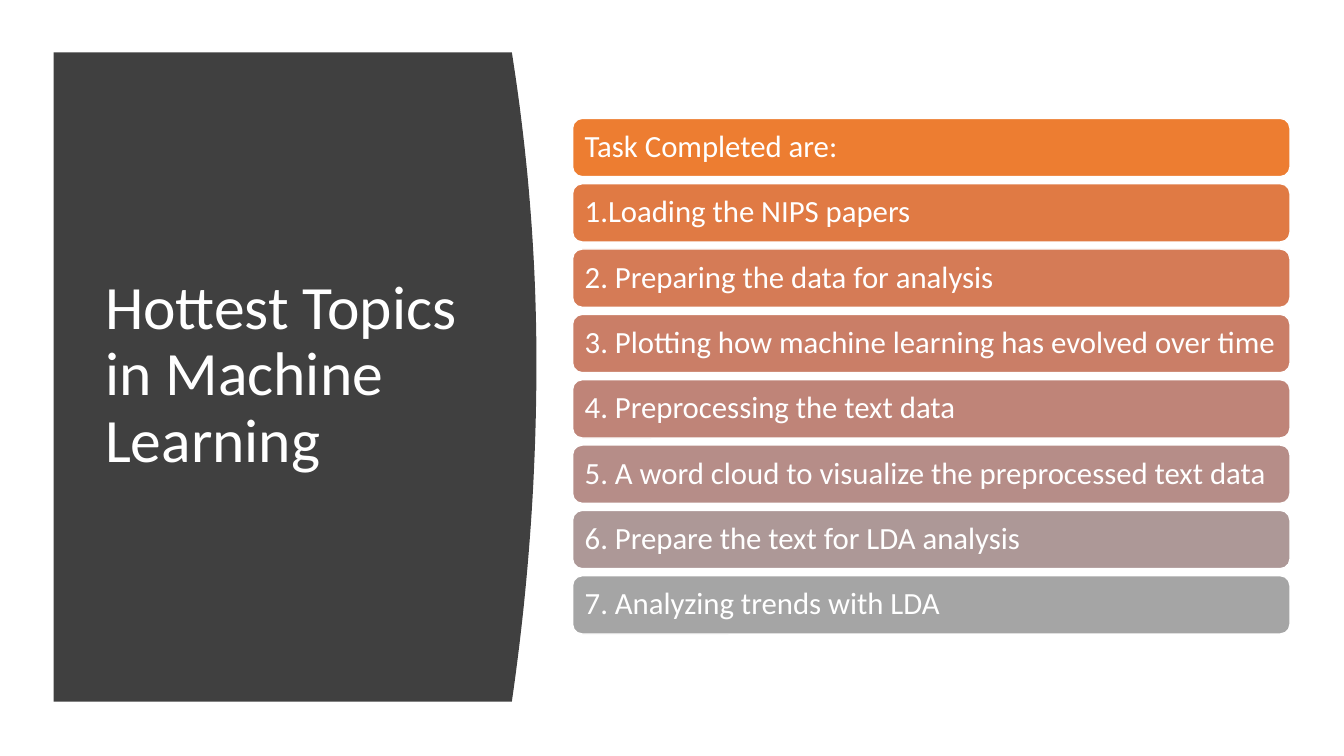
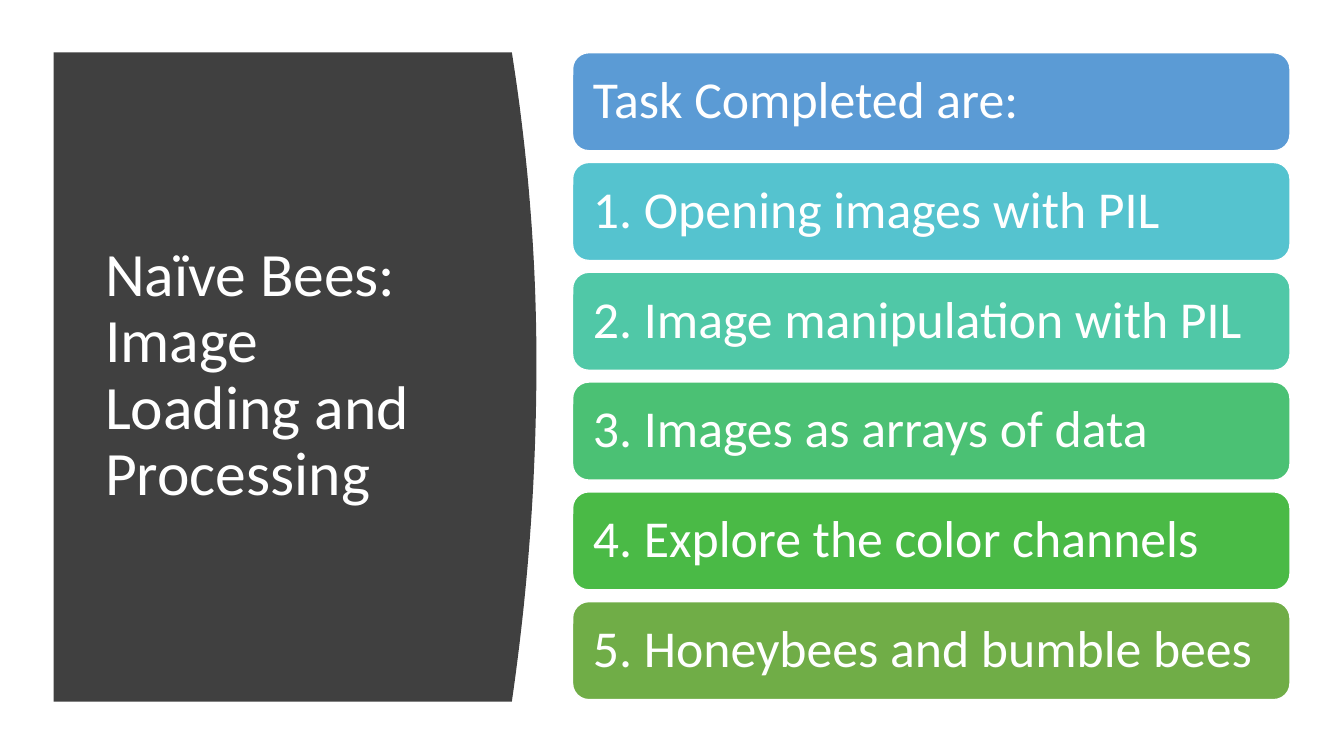
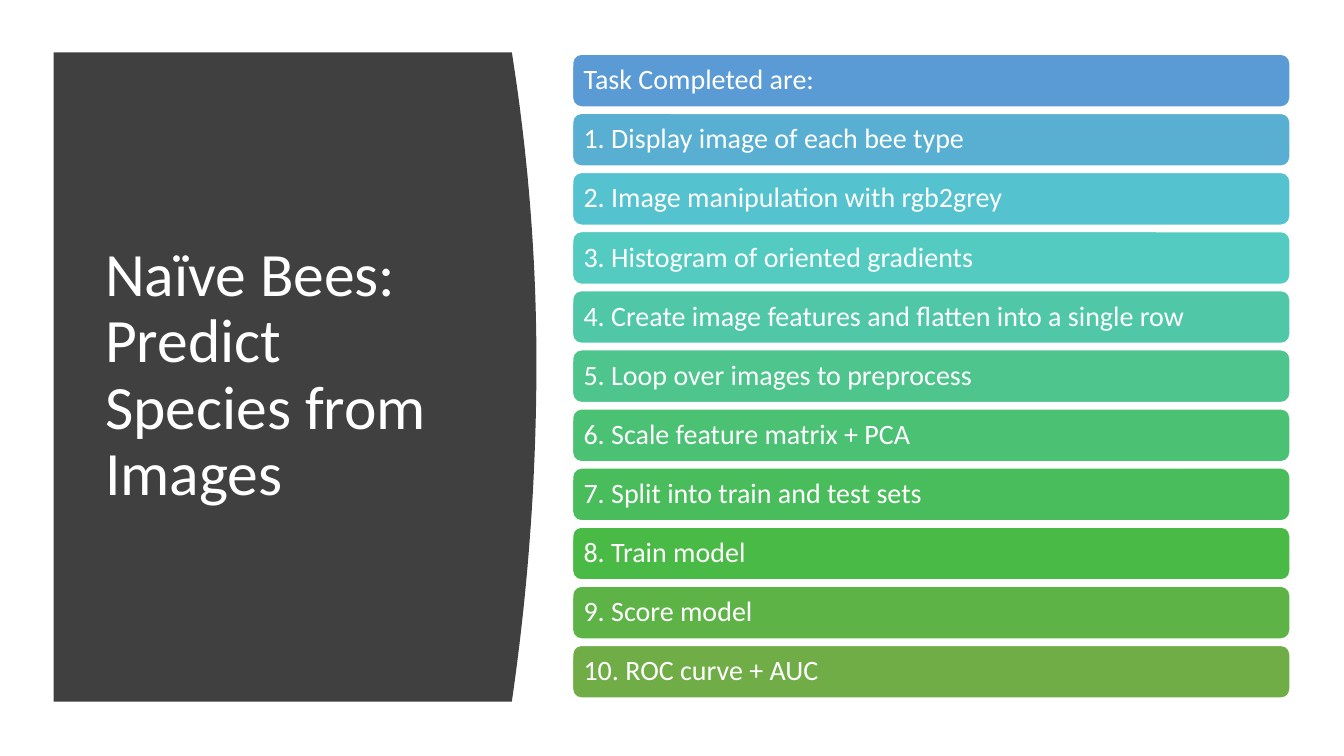
"""Build three task-summary slides with a curved title panel and graded bars."""
from colorsys import hls_to_rgb, rgb_to_hls
from dataclasses import dataclass

from pptx import Presentation
from pptx.dml.color import RGBColor
from pptx.enum.shapes import MSO_SHAPE
from pptx.enum.text import MSO_ANCHOR, PP_ALIGN
from pptx.slide import Slide
from pptx.text.text import TextFrame
from pptx.util import Cm, Pt


@dataclass(frozen=True)
class Theme:
    font: str = "Calibri"
    title_size: int = 44
    line_spacing: float = 0.9
    white: RGBColor = RGBColor(0xFF, 0xFF, 0xFF)
    panel: RGBColor = RGBColor(0x40, 0x40, 0x40)
    orange: RGBColor = RGBColor(0xED, 0x7D, 0x31)
    gray: RGBColor = RGBColor(0xA5, 0xA5, 0xA5)
    blue: RGBColor = RGBColor(0x5B, 0x9B, 0xD5)
    green: RGBColor = RGBColor(0x70, 0xAD, 0x47)


@dataclass(frozen=True)
class TaskSlide:
    title: str
    first: RGBColor
    last: RGBColor
    size: int
    bar_height: float
    tasks: tuple[str, ...]


THEME = Theme()
HEADING = "Task Completed are:"
BAR_LEFT, BAR_WIDTH, BARS_MIDDLE = 14.43, 18.08, 9.48
GAP_RATIO, LEFT_INSET_RATIO, RIGHT_INSET_RATIO = 0.12, 0.16, 0.1
PANEL_LEFT, PANEL_TOP, PANEL_BOTTOM = 1.35, 1.32, 17.68
PANEL_TIP, PANEL_TIP_Y, PANEL_BULGE = 13.52, 9.14, 0.62
CURVE_STEPS = 48

SLIDES = (
    TaskSlide(
        "Hottest Topics in Machine Learning", THEME.orange, THEME.gray, 22, 1.47,
        (
            "1.Loading the NIPS papers",
            "2. Preparing the data for analysis",
            "3. Plotting how machine learning has evolved over time",
            "4. Preprocessing the text data",
            "5. A word cloud to visualize the preprocessed text data",
            "6. Prepare the text for LDA analysis",
            "7. Analyzing trends with LDA",
        ),
    ),
    TaskSlide(
        "Naïve Bees: Image Loading and Processing", THEME.blue, THEME.green, 37, 2.47,
        (
            "1. Opening images with PIL",
            "2. Image manipulation with PIL",
            "3. Images as arrays of data",
            "4. Explore the color channels",
            "5. Honeybees and bumble bees",
        ),
    ),
    TaskSlide(
        "Naïve Bees: Predict Species from Images", THEME.blue, THEME.green, 20, 1.33,
        (
            "1. Display image of each bee type",
            "2. Image manipulation with rgb2grey",
            "3. Histogram of oriented gradients",
            "4. Create image features and flatten into a single row",
            "5. Loop over images to preprocess",
            "6. Scale feature matrix + PCA",
            "7. Split into train and test sets",
            "8. Train model",
            "9. Score model",
            "10. ROC curve + AUC",
        ),
    ),
)


def blend(first: RGBColor, last: RGBColor, t: float) -> RGBColor:
    """Return the colour a share t of the way through HLS space."""
    start, end = (rgb_to_hls(*(v / 255 for v in c)) for c in (first, last))
    mixed = hls_to_rgb(*(a + (b - a) * t for a, b in zip(start, end)))
    return RGBColor(*(round(v * 255) for v in mixed))


def write(tf: TextFrame, text: str, size: int) -> None:
    """Write one white, left-aligned, vertically centred paragraph."""
    tf.word_wrap = True
    tf.vertical_anchor = MSO_ANCHOR.MIDDLE
    p = tf.paragraphs[0]
    p.alignment = PP_ALIGN.LEFT
    p.line_spacing = THEME.line_spacing
    r = p.add_run()
    r.text = text
    r.font.name = THEME.font
    r.font.size = Pt(size)
    r.font.color.rgb = THEME.white


def edge_x(y: float) -> float:
    """Return the x of the panel's curved edge at height y."""
    end = PANEL_TOP if y < PANEL_TIP_Y else PANEL_BOTTOM
    return PANEL_TIP - PANEL_BULGE * ((y - PANEL_TIP_Y) / (end - PANEL_TIP_Y)) ** 2


def add_title_panel(s: Slide, title: str) -> None:
    """Draw the dark panel with its curved right edge and the title."""
    step = (PANEL_BOTTOM - PANEL_TOP) / CURVE_STEPS
    heights = [PANEL_TOP + i * step for i in range(CURVE_STEPS + 1)]
    points = [(Cm(edge_x(y)), Cm(y)) for y in heights]
    points.append((Cm(PANEL_LEFT), Cm(PANEL_BOTTOM)))
    builder = s.shapes.build_freeform(Cm(PANEL_LEFT), Cm(PANEL_TOP))
    builder.add_line_segments(points, close=True)
    sp = builder.convert_to_shape()
    sp.shadow.inherit = False
    sp.fill.solid()
    sp.fill.fore_color.rgb = THEME.panel
    sp.line.fill.background()
    box = s.shapes.add_textbox(Cm(2.4), Cm(2.82), Cm(9.45), Cm(13.31))
    write(box.text_frame, title, THEME.title_size)


def add_bar(s: Slide, top: float, height: float, color: RGBColor,
            text: str, size: int) -> None:
    """Draw one rounded task bar."""
    sp = s.shapes.add_shape(MSO_SHAPE.ROUNDED_RECTANGLE, Cm(BAR_LEFT), Cm(top),
                            Cm(BAR_WIDTH), Cm(height))
    sp.shadow.inherit = False
    sp.fill.solid()
    sp.fill.fore_color.rgb = color
    sp.line.color.rgb = THEME.white
    sp.line.width = Pt(1)
    tf = sp.text_frame
    tf.margin_left = Cm(height * LEFT_INSET_RATIO)
    tf.margin_right = Cm(height * RIGHT_INSET_RATIO)
    tf.margin_top = tf.margin_bottom = 0
    write(tf, text, size)


def add_bars(s: Slide, row: TaskSlide) -> None:
    """Stack the heading and task bars around a common middle."""
    texts = (HEADING, *row.tasks)
    height = row.bar_height
    pitch = height * (1 + GAP_RATIO)
    steps = len(texts) - 1
    top = BARS_MIDDLE - (steps * pitch + height) / 2
    for i, text in enumerate(texts):
        color = blend(row.first, row.last, i / steps)
        add_bar(s, top + i * pitch, height, color, text, row.size)


def main() -> None:
    """Build and save the presentation."""
    prs = Presentation()
    prs.slide_width, prs.slide_height = Cm(33.87), Cm(19.05)
    for row in SLIDES:
        s = prs.slides.add_slide(prs.slide_layouts[6])
        add_title_panel(s, row.title)
        add_bars(s, row)
    prs.save("out.pptx")


if __name__ == "__main__":
    main()
